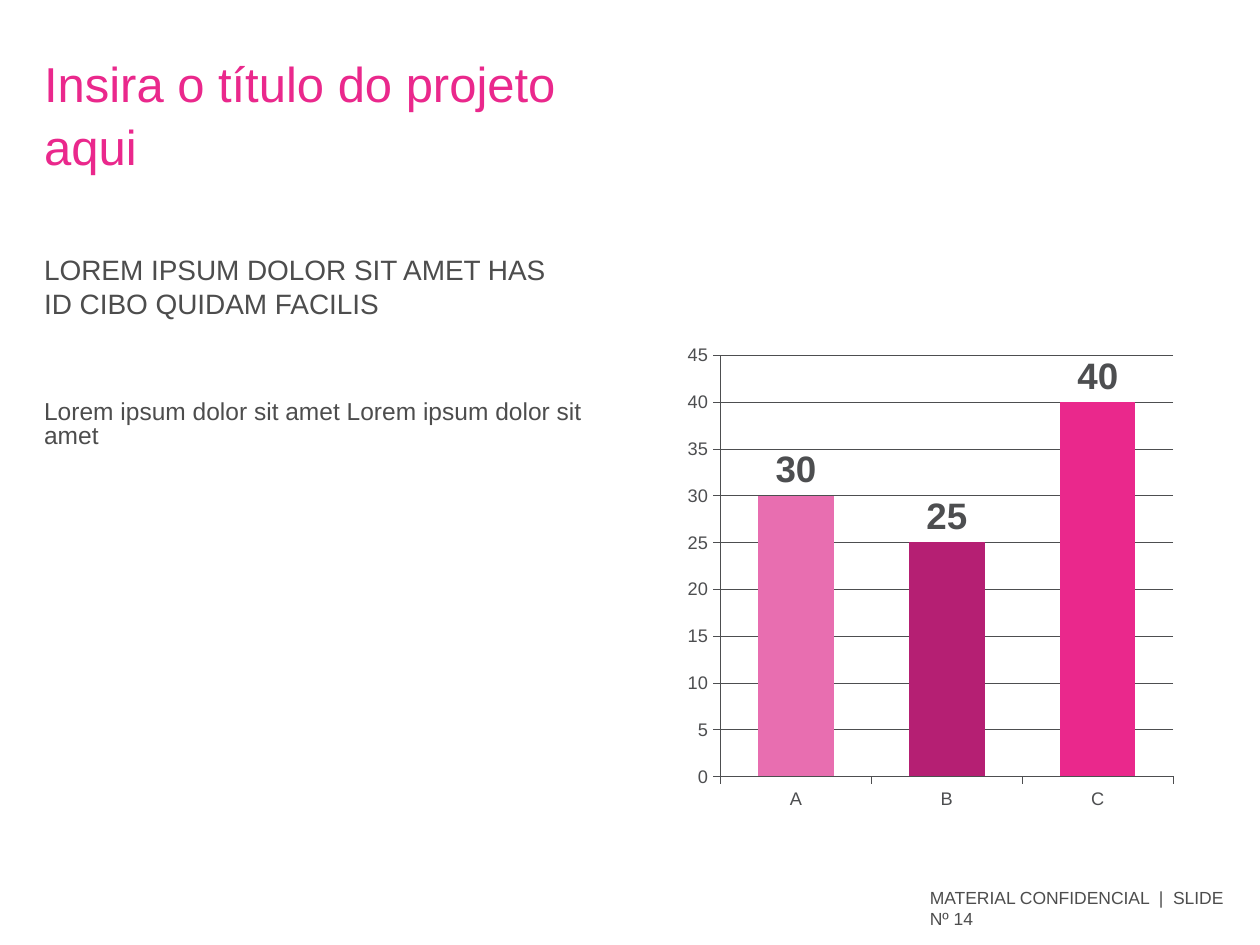
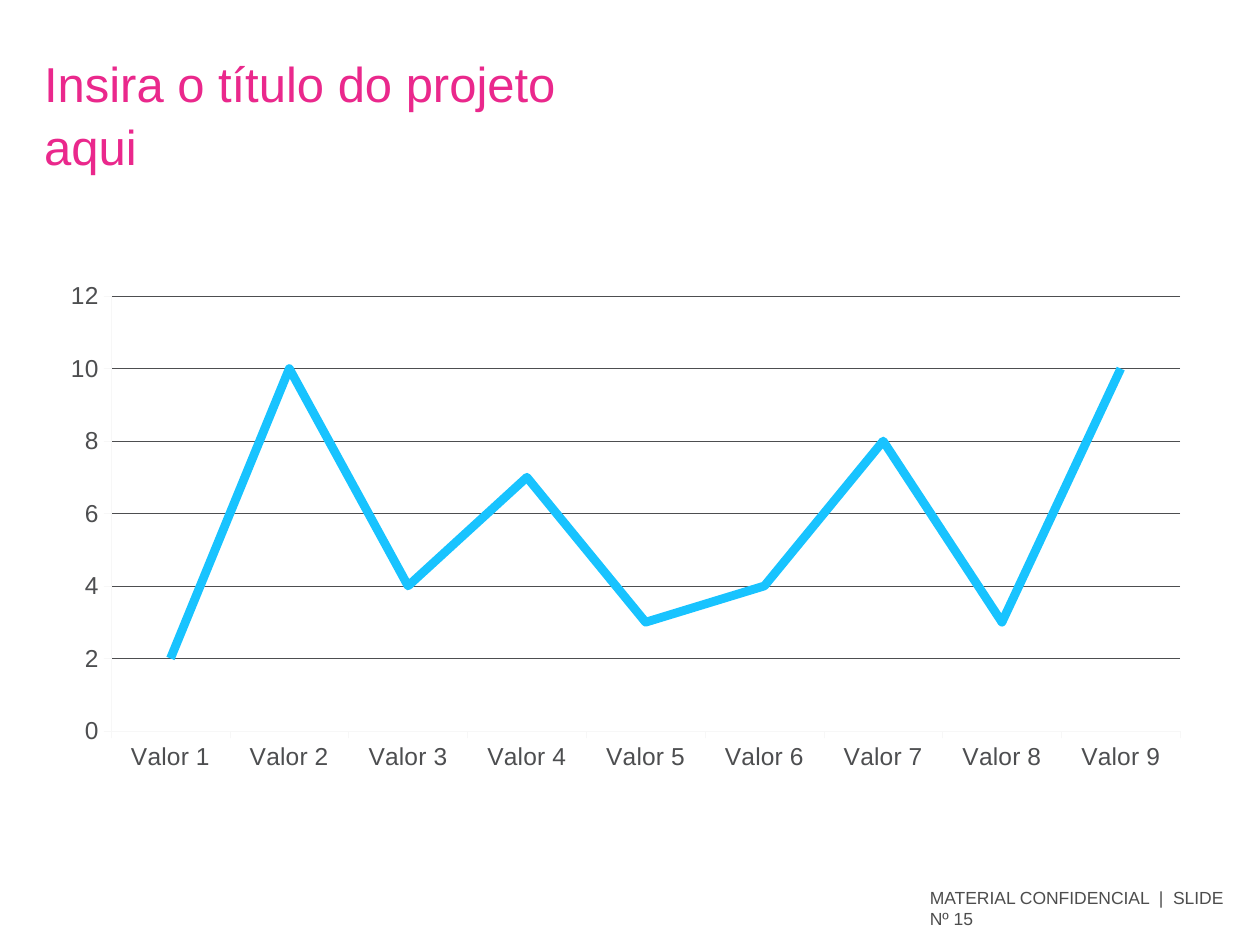
from pptx import Presentation
from pptx.chart.data import CategoryChartData
from pptx.dml.color import RGBColor
from pptx.enum.chart import XL_CHART_TYPE, XL_LABEL_POSITION, XL_TICK_MARK
from pptx.enum.text import MSO_ANCHOR, MSO_AUTO_SIZE, PP_ALIGN
from pptx.oxml import parse_xml
from pptx.oxml.ns import nsdecls, qn
from pptx.util import Inches, Pt

PINK = RGBColor(0xEA, 0x28, 0x8C)
LIGHT_PINK = RGBColor(0xE8, 0x6E, 0xB0)
DARK_PINK = RGBColor(0xB5, 0x1F, 0x73)
BLUE = RGBColor(0x18, 0xC3, 0xFF)
TEXT_GRAY = RGBColor(0x4D, 0x4D, 0x4D)
CHART_GRAY = RGBColor(0x4D, 0x4E, 0x50)
PALE_GRAY = RGBColor(0xF7, 0xF7, 0xF7)
FONT = "Arial"
HAIRLINE = Pt(0.25)

TITLE = "Insira o título do projeto aqui"
SUBTITLE = "LOREM IPSUM DOLOR SIT AMET HAS \vID CIBO QUIDAM FACILIS"
BODY = "Lorem ipsum dolor sit amet Lorem ipsum dolor sit amet"
FOOTER = "MATERIAL CONFIDENCIAL  |  SLIDE Nº {}"
FIRST_NUMBER = 14

COLUMNS = [("A", 30, LIGHT_PINK), ("B", 25, DARK_PINK), ("C", 40, PINK)]
LINE_VALUES = [2, 10, 4, 7, 3, 4, 8, 3, 10]

TITLE_BOX = (0.35, 0.39, 4.84, 1.38)
SUBTITLE_BOX = (0.35, 2, 4.16, 0.82)
BODY_BOX = (0.35, 3.18, 4.67, 1.74)
FOOTER_BOX = (7.38, 7.04, 2.42, 0.25)
COLUMN_BOX = (5.19, 2.64, 4.48, 3.99)
LINE_BOX = (0.38, 2.16, 9.17, 4.04)
COLUMN_PLOT = {"x": 0.118, "y": 0.045, "w": 0.802, "h": 0.838}


def inches(box):
    return [Inches(length) for length in box]


def style_font(font, size, color, bold=False):
    font.name, font.size, font.bold = FONT, Pt(size), bold
    font.color.rgb = color


def write(shape, box, text, size, leading, color=TEXT_GRAY):
    """Place a text shape and fill it with one unbulleted, left-aligned paragraph."""
    shape.left, shape.top, shape.width, shape.height = inches(box)
    frame = shape.text_frame
    frame.margin_left = frame.margin_top = frame.margin_right = frame.margin_bottom = 0
    frame.word_wrap = True
    frame.auto_size = MSO_AUTO_SIZE.NONE
    frame.vertical_anchor = MSO_ANCHOR.TOP
    paragraph = frame.paragraphs[0]
    paragraph.text = text
    paragraph.alignment = PP_ALIGN.LEFT
    paragraph.line_spacing = Pt(leading)
    paragraph.space_before = Pt(0)
    properties = paragraph._p.get_or_add_pPr()
    properties.set("marL", "0")
    properties.set("indent", "0")
    properties.append(parse_xml(f"<a:buNone {nsdecls('a')}/>"))
    for run in paragraph.runs:
        style_font(run.font, size, color)


def add_page(prs, layout):
    slide = prs.slides.add_slide(prs.slide_layouts[layout])
    write(slide.shapes.title, TITLE_BOX, TITLE, 28, 36, PINK)
    footer = slide.shapes.add_textbox(*inches(FOOTER_BOX))
    number = FIRST_NUMBER + len(prs.slides) - 1
    write(footer, FOOTER_BOX, FOOTER.format(number), 10, 12)
    return slide


def add_chart(slide, kind, box, categories, values, label_size, axis_color, top, step):
    data = CategoryChartData()
    data.categories = categories
    data.add_series("Series 1", values)
    chart = slide.shapes.add_chart(kind, *inches(box), data).chart
    chart.has_legend = chart.has_title = False
    chart.plots[0].vary_by_categories = False
    style_font(chart.font, label_size, CHART_GRAY)
    for axis in (chart.category_axis, chart.value_axis):
        style_font(axis.tick_labels.font, label_size, CHART_GRAY)
        axis.major_tick_mark = XL_TICK_MARK.OUTSIDE
        axis.minor_tick_mark = XL_TICK_MARK.NONE
        axis.format.line.color.rgb = axis_color
        axis.format.line.width = HAIRLINE
    scale = chart.value_axis
    scale.minimum_scale, scale.maximum_scale, scale.major_unit = 0, top, step
    scale.has_major_gridlines = True
    scale.major_gridlines.format.line.color.rgb = CHART_GRAY
    scale.major_gridlines.format.line.width = HAIRLINE
    return chart


def set_inner_plot(chart, plot):
    area = chart.element.find(".//" + qn("c:plotArea"))
    for layout in area.findall(qn("c:layout")):
        area.remove(layout)
    modes = "".join(f'<c:{axis}Mode val="edge"/>' for axis in "xy")
    sizes = "".join(f'<c:{side} val="{share}"/>' for side, share in plot.items())
    area.insert(0, parse_xml(
        f"<c:layout {nsdecls('c')}><c:manualLayout>"
        f'<c:layoutTarget val="inner"/>{modes}{sizes}'
        "</c:manualLayout></c:layout>"))


def build_column_slide(prs):
    slide = add_page(prs, 3)
    subtitle, body = list(slide.placeholders)[1:]
    write(subtitle, SUBTITLE_BOX, SUBTITLE, 16, 19.5)
    write(body, BODY_BOX, BODY, 14, 14)

    categories, values, colors = zip(*COLUMNS)
    chart = add_chart(slide, XL_CHART_TYPE.COLUMN_CLUSTERED, COLUMN_BOX,
                      categories, values, 10.4, CHART_GRAY, 45, 5)
    set_inner_plot(chart, COLUMN_PLOT)
    plot = chart.plots[0]
    plot.gap_width = 100
    for index, color in enumerate(colors):
        fill = plot.series[0].points[index].format.fill
        fill.solid()
        fill.fore_color.rgb = color
    plot.has_data_labels = True
    labels = plot.data_labels
    labels.show_value = True
    labels.position = XL_LABEL_POSITION.OUTSIDE_END
    style_font(labels.font, 21, CHART_GRAY, bold=True)


def build_line_slide(prs):
    slide = add_page(prs, 5)
    categories = [f"Valor {n}" for n in range(1, len(LINE_VALUES) + 1)]
    chart = add_chart(slide, XL_CHART_TYPE.LINE, LINE_BOX,
                      categories, LINE_VALUES, 14, PALE_GRAY, 12, 2)
    series = chart.plots[0].series[0]
    series.smooth = False
    series.format.line.color.rgb = BLUE
    series.format.line.width = Pt(5)


def main():
    prs = Presentation()
    prs.slide_width, prs.slide_height = Inches(10), Inches(7.5)
    build_column_slide(prs)
    build_line_slide(prs)
    prs.save("out.pptx")


if __name__ == "__main__":
    main()
